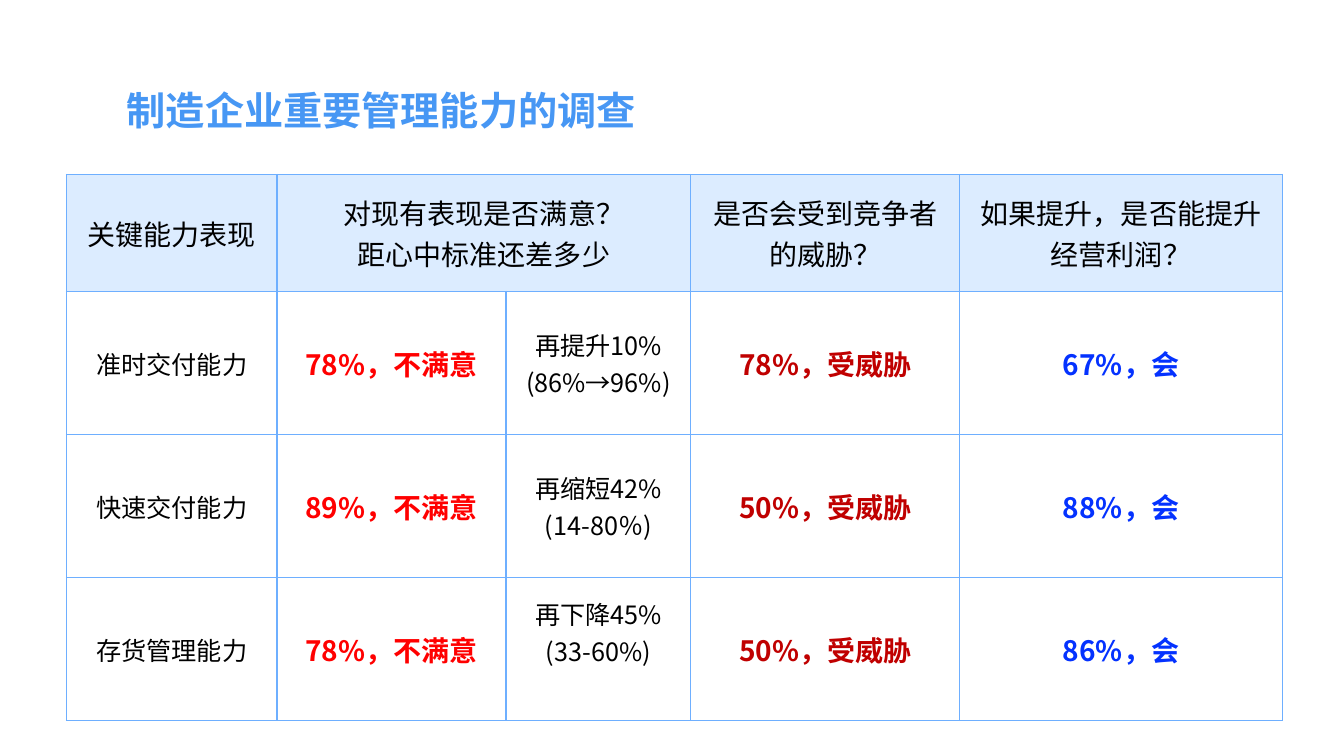
from pptx import Presentation
from pptx.dml.color import RGBColor
from pptx.enum.lang import MSO_LANGUAGE_ID
from pptx.enum.text import MSO_ANCHOR, PP_ALIGN
from pptx.oxml import parse_xml
from pptx.oxml.ns import nsdecls
from pptx.util import Pt

MIDDLE, CENTER = MSO_ANCHOR.MIDDLE, PP_ALIGN.CENTER
CHINESE = MSO_LANGUAGE_ID.SIMPLIFIED_CHINESE
FONT = "Noto Sans CJK SC"
COLORS = {"title": "4797F4", "line": "6EAFFF", "head": "DCECFF", "body": "FFFFFF",
          "text": "000000", "red": "FF0000", "dark": "C00000", "blue": "0432FF"}

# Content
TITLE = "制造企业重要管理能力的调查"
HEAD = ["关键能力表现", "对现有表现是否满意？\n距心中标准还差多少", "",
        "是否会受到竞争者的威胁？", "如果提升，是否能提升经营利润？"]
BODY = [
    ["准时交付能力", "78%，不满意", "再提升10%\n(86%→96%)", "78%，受威胁", "67%，会"],
    ["快速交付能力", "89%，不满意", "再缩短42%\n(14-80％)", "50%，受威胁", "88%，会"],
    ["存货管理能力", "78%，不满意", "再下降45%\n(33-60%)", "50%，受威胁", "86%，会"],
]
# Size, color and weight of each column
HEAD_STYLE = (20, "text", False)
STYLES = [(18, "text", False), (20, "red", True), (18, "text", False),
          (20, "dark", True), (20, "blue", True)]
WIDTHS = [150.4, 163.6, 132, 192, 230.6]
HEIGHTS = [83.6] + [102.2] * len(BODY)


def write(frame, text, size, color, bold, align=None):
    frame.text = text
    for para in frame.paragraphs:
        para.alignment = align
        for run in para.runs:
            font = run.font
            font.name, font.size, font.bold = FONT, Pt(size), bold
            font.color.rgb = RGBColor.from_string(COLORS[color])
            font.language_id = CHINESE
            latin = run._r.rPr.find("{*}latin")
            latin.addnext(parse_xml(f'<a:ea {nsdecls("a")} typeface="{FONT}"/>'))


def border(cell):
    props = cell._tc.get_or_add_tcPr()
    for i, side in enumerate("LRTB"):
        props.insert(i, parse_xml(
            f'<a:ln{side} {nsdecls("a")} w="{Pt(1)}"><a:solidFill>'
            f'<a:srgbClr val="{COLORS["line"]}"/></a:solidFill></a:ln{side}>'))


deck = Presentation()
deck.slide_width, deck.slide_height = Pt(960), Pt(540)
slide = deck.slides.add_slide(deck.slide_layouts[6])

# Title
box = slide.shapes.add_textbox(Pt(83.5), Pt(59.8), Pt(828), Pt(37.4))
box.text_frame.word_wrap = True
box.text_frame.vertical_anchor = MIDDLE
write(box.text_frame, TITLE, 28, "title", True)

# Survey table
rows = [HEAD] + BODY
table = slide.shapes.add_table(len(rows), len(WIDTHS), Pt(47.5), Pt(124.6),
                               Pt(sum(WIDTHS)), Pt(sum(HEIGHTS))).table
for col, width in zip(table.columns, WIDTHS):
    col.width = Pt(width)
for row, height in zip(table.rows, HEIGHTS):
    row.height = Pt(height)
for r, texts in enumerate(rows):
    for c, text in enumerate(texts):
        cell = table.cell(r, c)
        cell.fill.solid()
        cell.fill.fore_color.rgb = RGBColor.from_string(COLORS["body" if r else "head"])
        border(cell)
        cell.vertical_anchor = MIDDLE
        write(cell.text_frame, text, *(STYLES[c] if r else HEAD_STYLE), CENTER)
table.cell(0, 1).merge(table.cell(0, 2))

# The last gap cell sits a little higher
table.cell(len(BODY), 2).margin_bottom = Pt(28)

deck.save("out.pptx")
